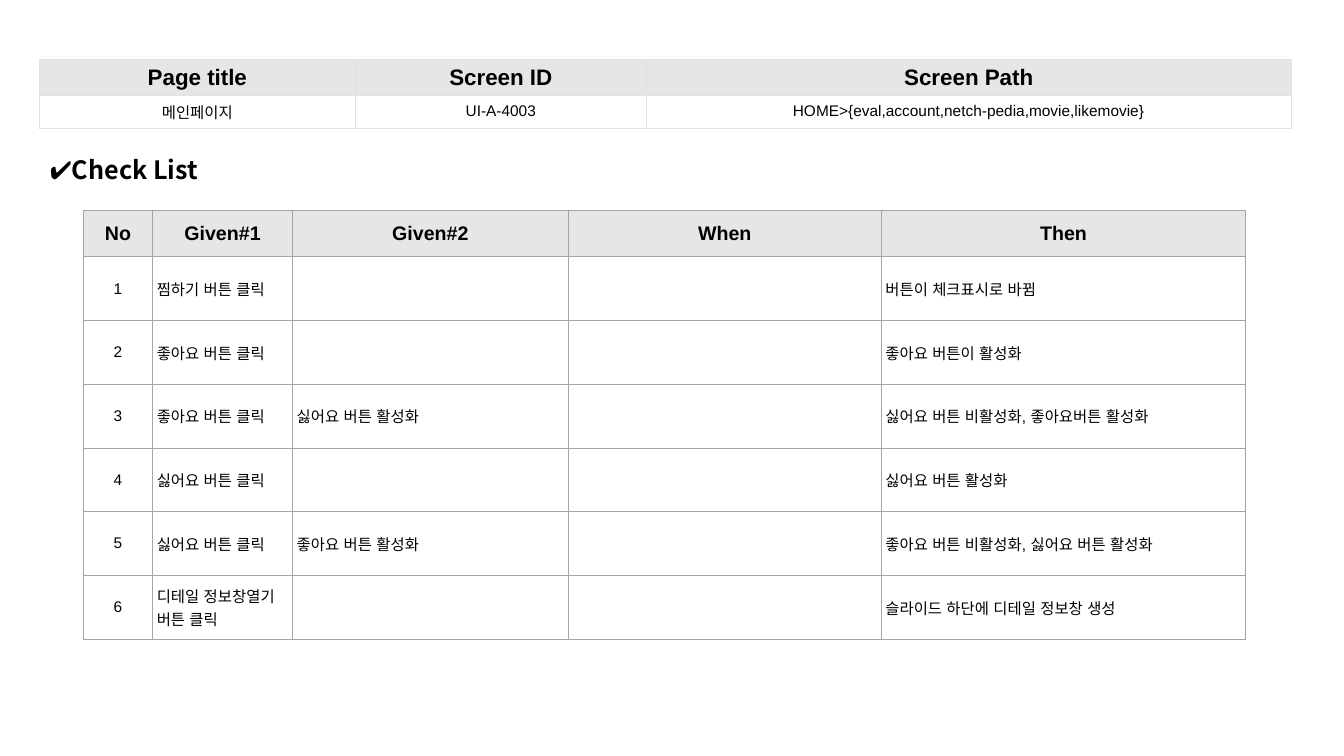
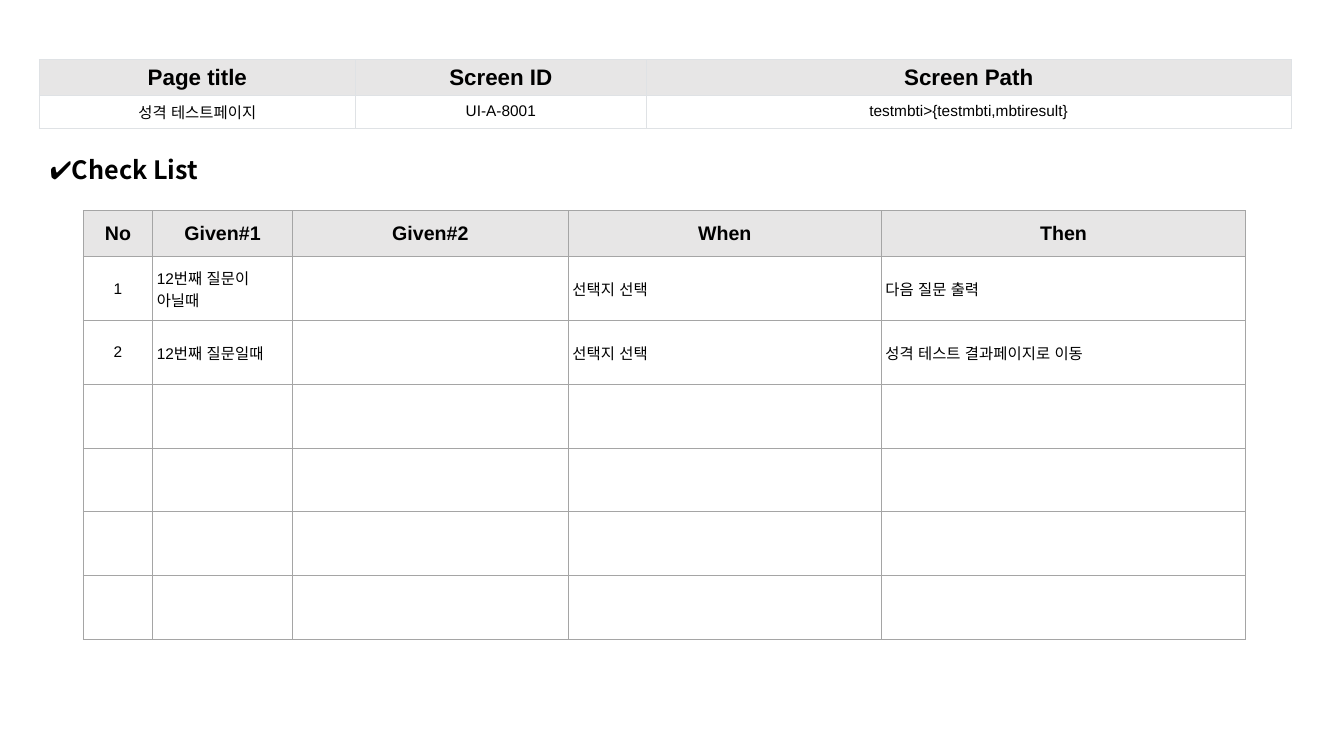
from dataclasses import dataclass

from lxml import etree
from pptx import Presentation
from pptx.dml.color import RGBColor
from pptx.enum.lang import MSO_LANGUAGE_ID
from pptx.enum.text import MSO_ANCHOR, PP_ALIGN
from pptx.oxml.ns import qn
from pptx.util import Emu, Pt

CENTER = PP_ALIGN.CENTER
LEFT = PP_ALIGN.LEFT
MIDDLE = MSO_ANCHOR.MIDDLE
KOREAN = MSO_LANGUAGE_ID.KOREAN

EMU_PER_PX = 6350
BORDER_WIDTH = Pt(0.75)
BLACK = "000000"
WHITE = "FFFFFF"
HEADER_GRAY = "E7E6E6"
LATIN_FONT = "Arial"
KOREAN_FONT = "Noto Sans CJK KR"
BLANK_LAYOUT = 6
CHECK_ROWS = 6


@dataclass(frozen=True)
class TextStyle:
    size: int
    bold: bool = False
    font: str = LATIN_FONT


@dataclass(frozen=True)
class TableStyle:
    left: int
    top: int
    columns: tuple[int, ...]
    rows: tuple[int, ...]
    aligns: tuple[PP_ALIGN, ...]
    border: str
    header: TextStyle
    side_margin: int
    header_margin: int
    body_margin: int


@dataclass(frozen=True)
class Check:
    given: str
    also_given: str
    when: str
    then: str


@dataclass(frozen=True)
class Screen:
    title: str
    screen_id: str
    screen_route: str
    checks: tuple[Check, ...]


BODY = TextStyle(11)
HEADING = TextStyle(18, True, KOREAN_FONT)
SCREEN_TABLE = TableStyle(
    56, 85, (452, 415, 922), (51, 47), (CENTER,) * 3,
    "DFE2E5", TextStyle(16, True), 16, 6, 6,
)
CHECK_TABLE = TableStyle(
    119, 301, (99, 200, 394, 447, 521), (66,) + (91,) * CHECK_ROWS, (CENTER,) + (LEFT,) * 4,
    "A5A5A5", TextStyle(14, True), 6, 3, 1,
)
SCREEN_HEADER = ("Page title", "Screen ID", "Screen Path")
CHECK_HEADER = ("No", "Given#1", "Given#2", "When", "Then")

SCREENS = (
    Screen(
        "메인페이지", "UI-A-4003", "HOME>{eval,account,netch-pedia,movie,likemovie}",
        (
            Check("찜하기 버튼 클릭", "", "", "버튼이 체크표시로 바뀜"),
            Check("좋아요 버튼 클릭", "", "", "좋아요 버튼이 활성화"),
            Check("좋아요 버튼 클릭", "싫어요 버튼 활성화", "", "싫어요 버튼 비활성화, 좋아요버튼 활성화"),
            Check("싫어요 버튼 클릭", "", "", "싫어요 버튼 활성화"),
            Check("싫어요 버튼 클릭", "좋아요 버튼 활성화", "", "좋아요 버튼 비활성화, 싫어요 버튼 활성화"),
            Check("디테일 정보창열기 버튼 클릭", "", "", "슬라이드 하단에 디테일 정보창 생성"),
        ),
    ),
    Screen(
        "성격 테스트페이지", "UI-A-8001", "testmbti>{testmbti,mbtiresult}",
        (
            Check("12번째 질문이 아닐때", "", "선택지 선택", "다음 질문 출력"),
            Check("12번째 질문일때", "", "선택지 선택", "성격 테스트 결과페이지로 이동"),
        ),
    ),
)


def px(length: int) -> Emu:
    return Emu(length * EMU_PER_PX)


def color(value: str) -> RGBColor:
    return RGBColor.from_string(value)


def add_span(para, text: str, style: TextStyle) -> None:
    span = para.add_run()
    span.text = text
    font = span.font
    font.size = Pt(style.size)
    font.bold = style.bold
    font.name = style.font
    font.color.rgb = color(BLACK)
    font.language_id = KOREAN
    latin = span._r.rPr.find(qn("a:latin"))
    east_asian = etree.Element(qn("a:ea"), typeface=KOREAN_FONT)
    latin.addnext(east_asian)


def set_borders(cell, border: str) -> None:
    properties = cell._tc.get_or_add_tcPr()
    for index, side in enumerate(("lnL", "lnR", "lnT", "lnB")):
        line = etree.Element(qn(f"a:{side}"), w=str(BORDER_WIDTH))
        fill = etree.SubElement(line, qn("a:solidFill"))
        etree.SubElement(fill, qn("a:srgbClr"), val=border)
        properties.insert(index, line)


def fill_cell(cell, text: str, style: TableStyle, is_header: bool, align: PP_ALIGN) -> None:
    cell.fill.solid()
    cell.fill.fore_color.rgb = color(HEADER_GRAY if is_header else WHITE)
    set_borders(cell, style.border)
    cell.vertical_anchor = MIDDLE
    cell.margin_left = cell.margin_right = px(style.side_margin)
    margin = style.header_margin if is_header else style.body_margin
    cell.margin_top = cell.margin_bottom = px(margin)
    if text:
        para = cell.text_frame.paragraphs[0]
        para.alignment = CENTER if is_header else align
        add_span(para, text, style.header if is_header else BODY)


def add_grid(page, style: TableStyle, values: list[tuple[str, ...]]) -> None:
    frame = page.shapes.add_table(
        len(style.rows), len(style.columns), px(style.left), px(style.top),
        px(sum(style.columns)), px(sum(style.rows)),
    )
    table = frame.table
    table.first_row = False
    table.horz_banding = False
    for column, width in zip(table.columns, style.columns):
        column.width = px(width)
    for row_index, (row, height) in enumerate(zip(table.rows, style.rows)):
        row.height = px(height)
        for cell, text, align in zip(row.cells, values[row_index], style.aligns):
            fill_cell(cell, text, style, row_index == 0, align)


def add_heading(page) -> None:
    box = page.shapes.add_textbox(px(57), px(213), px(266), px(58))
    box.text_frame.word_wrap = True
    add_span(box.text_frame.paragraphs[0], "✔Check List", HEADING)


def check_values(checks: tuple[Check, ...]) -> list[tuple[str, ...]]:
    filled = [
        (str(number), check.given, check.also_given, check.when, check.then)
        for number, check in enumerate(checks, 1)
    ]
    empty = [("",) * len(CHECK_HEADER)] * (CHECK_ROWS - len(checks))
    return [CHECK_HEADER, *filled, *empty]


def add_screen(deck, screen: Screen) -> None:
    page = deck.slides.add_slide(deck.slide_layouts[BLANK_LAYOUT])
    add_grid(page, CHECK_TABLE, check_values(screen.checks))
    add_heading(page)
    details = (screen.title, screen.screen_id, screen.screen_route)
    add_grid(page, SCREEN_TABLE, [SCREEN_HEADER, details])


def main() -> None:
    deck = Presentation()
    deck.slide_width = px(1920)
    deck.slide_height = px(1080)
    for screen in SCREENS:
        add_screen(deck, screen)
    deck.save("out.pptx")


if __name__ == "__main__":
    main()
